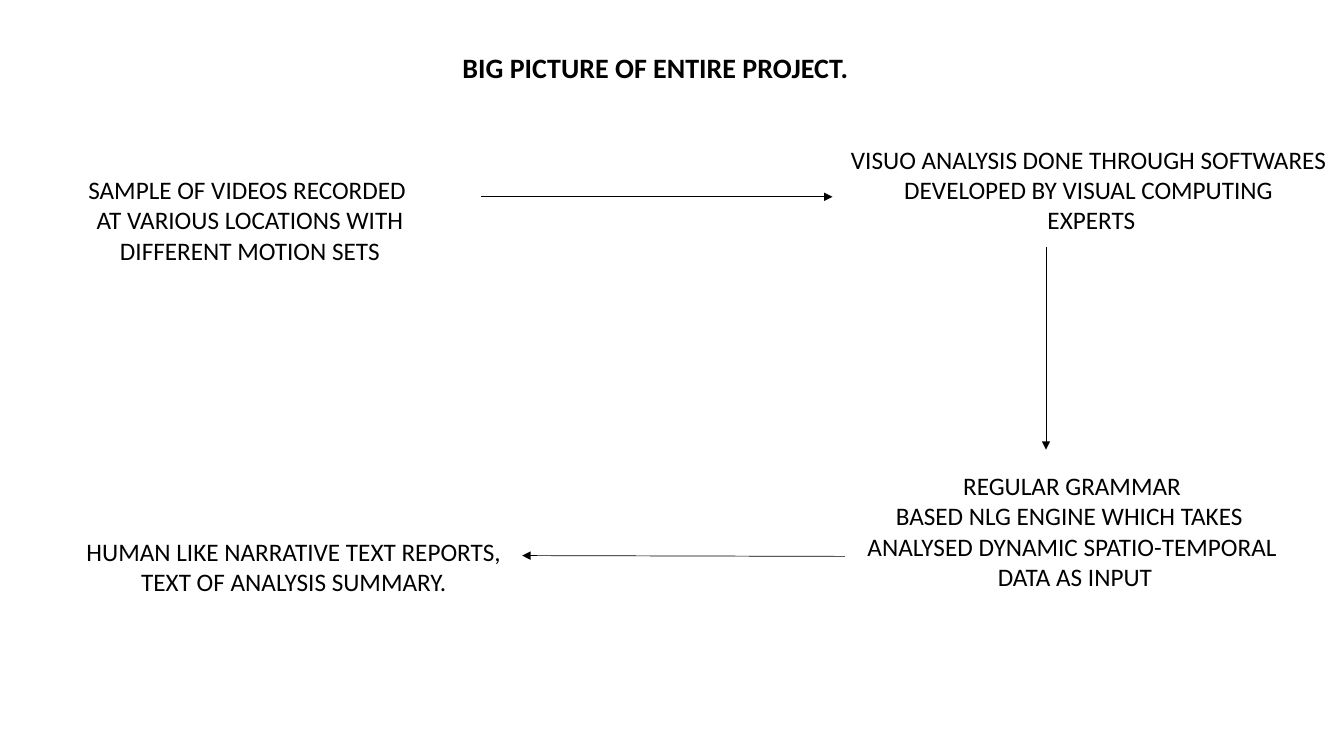
from dataclasses import dataclass

from lxml import etree
from pptx import Presentation
from pptx import util as u
from pptx.dml.color import RGBColor
from pptx.enum import shapes, text
from pptx.oxml.ns import qn

# Content: boxes are (left, top, width, height) in cm
TITLE = "BIG PICTURE OF ENTIRE PROJECT."
TITLE_BOX = (11.4, 1.14, 10.31, 1.12)

STAGES = [
    {"box": (1.93, 4.27, 8.74, 2.57), "first_centred": True,
     "lines": ["SAMPLE OF VIDEOS RECORDED ",
               "AT VARIOUS LOCATIONS WITH",
               "DIFFERENT MOTION SETS"]},
    {"box": (21.13, 3.51, 12.75, 2.57), "first_centred": True,
     "lines": ["VISUO ANALYSIS DONE THROUGH SOFTWARES ",
               "DEVELOPED BY VISUAL COMPUTING ",
               "EXPERTS"]},
    {"box": (21.56, 11.73, 10.92, 3.33), "first_centred": True,
     "lines": [" REGULAR GRAMMAR ",
               "BASED NLG ENGINE WHICH TAKES ",
               "ANALYSED DYNAMIC SPATIO-TEMPORAL",
               " DATA AS INPUT"]},
    {"box": (1.93, 13.39, 11.05, 1.8), "first_centred": False,
     "lines": ["HUMAN LIKE NARRATIVE TEXT REPORTS,",
               "TEXT OF ANALYSIS SUMMARY."]},
]

# Arrows from stage to stage: x1, y1, x2, y2 in cm
ARROWS = [
    (12.12, 4.96, 20.98, 4.96),
    (26.36, 6.22, 26.36, 11.33),
    (21.29, 14.02, 13.16, 14),
]


@dataclass(frozen=True)
class Theme:
    font: str = "Calibri"
    ink: RGBColor = RGBColor(0, 0, 0)
    title_size: int = 20
    body_size: int = 18
    line_width: float = 0.5


THEME = Theme()


def write_lines(box, lines, size, bold, alignments):
    """Fill an unwrapped, top-anchored text frame."""
    frame = box.text_frame
    frame.text = "\n".join(lines)
    frame.word_wrap = False
    frame.auto_size = text.MSO_AUTO_SIZE.SHAPE_TO_FIT_TEXT
    frame.vertical_anchor = text.MSO_ANCHOR.TOP
    for para, alignment in zip(frame.paragraphs, alignments):
        para.alignment = alignment
        for span in para.runs:
            span.font.name = THEME.font
            span.font.size = u.Pt(size)
            span.font.bold = bold
            span.font.color.rgb = THEME.ink


def add_arrow(page, ends):
    arrow = page.shapes.add_connector(
        shapes.MSO_CONNECTOR.STRAIGHT, *map(u.Cm, ends))
    arrow.line.color.rgb = THEME.ink
    arrow.line.width = u.Pt(THEME.line_width)
    line = arrow.line._get_or_add_ln()
    etree.SubElement(line, qn("a:tailEnd"), type="triangle")
    etree.SubElement(arrow._element.spPr, qn("a:effectLst"))


def main():
    deck = Presentation()
    deck.slide_width, deck.slide_height = u.Cm(33.87), u.Cm(19.05)
    page = deck.slides.add_slide(deck.slide_layouts[5])

    # Title
    title = page.shapes.title
    title.left, title.top, title.width, title.height = map(u.Cm, TITLE_BOX)
    write_lines(title, [TITLE], THEME.title_size, True, [text.PP_ALIGN.LEFT])

    # Stages
    for stage in STAGES:
        box = page.shapes.add_textbox(*map(u.Cm, stage["box"]))
        alignments = [text.PP_ALIGN.CENTER] * len(stage["lines"])
        if not stage["first_centred"]:
            alignments[0] = text.PP_ALIGN.LEFT
        write_lines(box, stage["lines"], THEME.body_size, False, alignments)

    # Flow arrows
    for ends in ARROWS:
        add_arrow(page, ends)

    deck.save("out.pptx")


if __name__ == "__main__":
    main()
